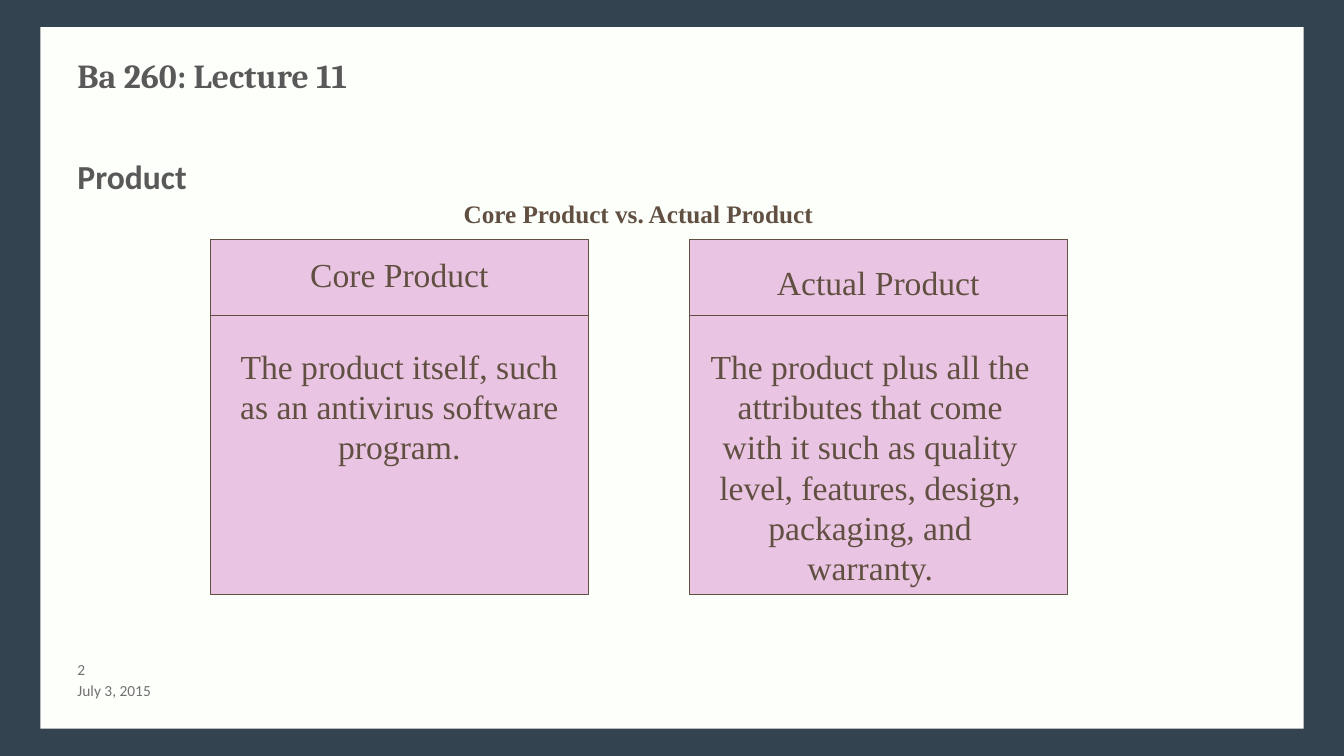
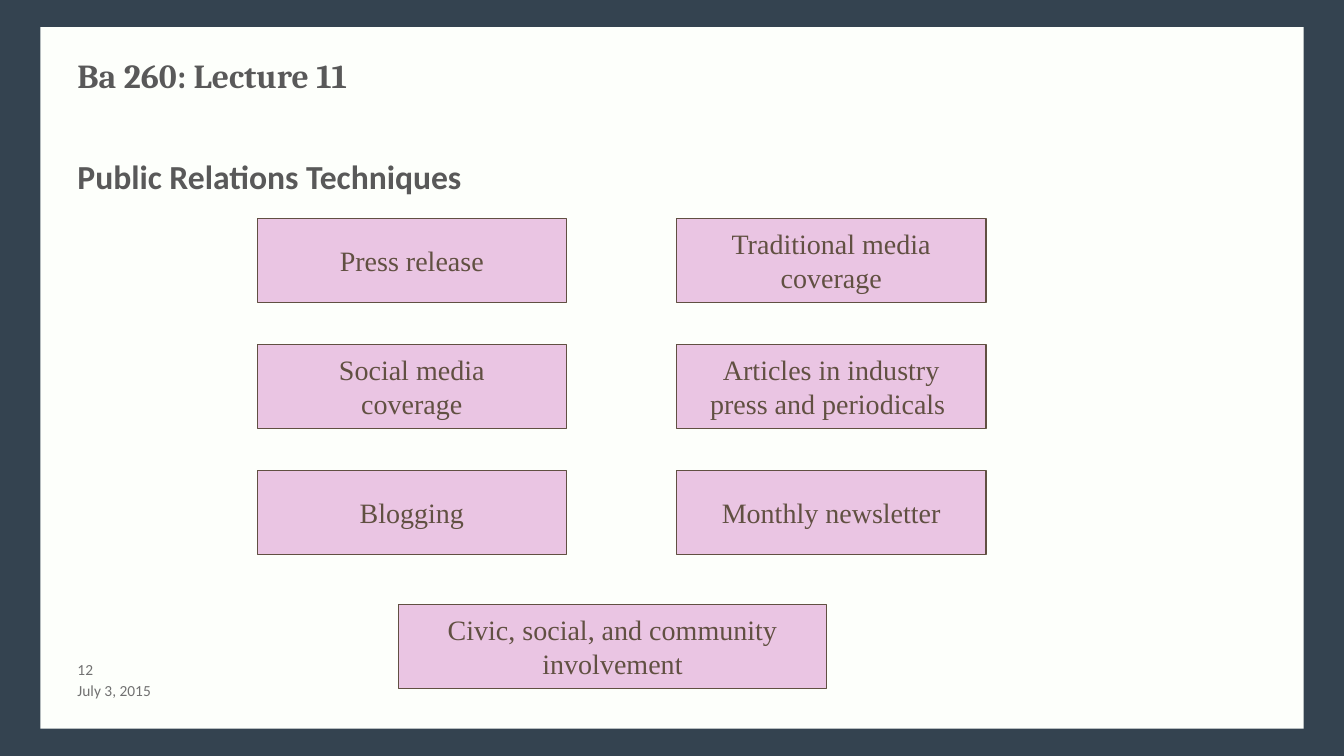
from pptx import Presentation
from pptx.dml.color import RGBColor
from pptx.enum.shapes import MSO_CONNECTOR, MSO_SHAPE
from pptx.enum.text import MSO_ANCHOR, PP_ALIGN
from pptx.util import Inches, Pt
from lxml import etree

RECT, STRAIGHT = MSO_SHAPE.RECTANGLE, MSO_CONNECTOR.STRAIGHT
TOP, MIDDLE = MSO_ANCHOR.TOP, MSO_ANCHOR.MIDDLE
LEFT, CENTER = PP_ALIGN.LEFT, PP_ALIGN.CENTER

NAVY = RGBColor(0x34, 0x43, 0x50)
IVORY = RGBColor(0xFD, 0xFF, 0xFB)
PINK = RGBColor(0xEA, 0xC5, 0xE3)
BROWN = RGBColor(0x61, 0x50, 0x42)
GRAY = RGBColor(0x59, 0x59, 0x59)
LIGHT_GRAY = RGBColor(0x71, 0x71, 0x71)
DRAWING_NS = "http://schemas.openxmlformats.org/drawingml/2006/main"


def font_style(name, size, color, bold=False):
    """Return a dict of font attributes."""
    return {"name": name, "size": Pt(size), "bold": bold, "color": color}


TITLE = font_style("Cambria", 24, GRAY, True)
HEADING = font_style("Calibri", 24, GRAY, True)
FOOTER = font_style("Calibri", 11, LIGHT_GRAY)
CAPTION = font_style("Times New Roman", 18, BROWN, True)
CARD_TEXT = font_style("Times New Roman", 24, BROWN)
TILE_TEXT = font_style("Times New Roman", 20, BROWN)


def write(sp, lines, style, align=LEFT, anchor=TOP, wrap=True, inset=0.05):
    """Fill a shape with one styled paragraph per line."""
    tf = sp.text_frame
    frame = {"word_wrap": wrap, "vertical_anchor": anchor,
             "margin_top": Inches(inset), "margin_bottom": Inches(inset)}
    for key, value in frame.items():
        setattr(tf, key, value)
    for i, line in enumerate(lines):
        p = tf.add_paragraph() if i else tf.paragraphs[0]
        p.alignment = align
        r = p.add_run()
        r.text = line
        for key, value in style.items():
            if key == "color":
                r.font.color.rgb = value
            else:
                setattr(r.font, key, value)


def add_text(s, box, text, style, **options):
    """Add a text box at box, given in inches."""
    sp = s.shapes.add_textbox(*map(Inches, box))
    write(sp, [text], style, **options)


def add_rect(s, box, fill, line=None):
    """Add a flat rectangle with an optional thin outline."""
    sp = s.shapes.add_shape(RECT, *map(Inches, box))
    sp.shadow.inherit = False
    sp.fill.solid()
    sp.fill.fore_color.rgb = fill
    if line is None:
        sp.line.fill.background()
    else:
        sp.line.color.rgb = line
        sp.line.width = Pt(0.75)
    return sp


def add_rule(s, x, y, width):
    """Add a thin horizontal line."""
    line = s.shapes.add_connector(
        STRAIGHT, Inches(x), Inches(y), Inches(x + width), Inches(y))
    line.line.color.rgb = BROWN
    line.line.width = Pt(0.75)
    etree.SubElement(line._element.spPr, f"{{{DRAWING_NS}}}effectLst")


def add_base(prs, heading, number):
    """Add a slide with the shared frame, title, heading and footer."""
    s = prs.slides.add_slide(prs.slide_layouts[6])
    s.background.fill.solid()
    s.background.fill.fore_color.rgb = NAVY
    add_rect(s, (0.4, 0.27, 12.53, 6.96), IVORY)
    add_text(s, (0.67, 0.5, 12, 0.75), "Ba 260: Lecture 11", TITLE)
    add_text(s, (0.67, 1.5, 5.84, 4.75), heading, HEADING)
    add_text(s, (0.67, 6.55, 0.53, 0.2), str(number), FOOTER, inset=0)
    add_text(s, (0.67, 6.75, 2.67, 0.2), "July 3, 2015", FOOTER,
             anchor=MIDDLE, inset=0)
    return s


def add_card(s, box, name, name_dy, body, body_dx, body_height):
    """Add a card with a name, a rule and a description."""
    x, y, width, height = box
    add_rect(s, box, PINK, BROWN)
    add_rule(s, x, y + 0.75, width)
    add_text(s, (x + 0.08, y + name_dy, 3.58, 0.51), name, CARD_TEXT,
             align=CENTER)
    add_text(s, (x + body_dx, y + 1, 3.42, body_height), body, CARD_TEXT,
             align=CENTER)


def add_product_slide(prs):
    """Build the comparison of core and actual product."""
    s = add_base(prs, "Product", 2)
    add_text(s, (4.5, 1.92, 3.7, 0.4), "Core Product vs. Actual Product",
             CAPTION, wrap=False)
    cards = [
        ("Core Product", 0.09,
         "The product itself, such as an antivirus software program.",
         0.16, 1.31),
        ("Actual Product", 0.17,
         "The product plus all the attributes that come with it such as "
         "quality level, features, design, packaging, and warranty.",
         0.08, 2.52),
    ]
    for i, card in enumerate(cards):
        add_card(s, (2.09 + 4.75 * i, 2.38, 3.75, 3.52), *card)


def add_tile(s, box, lines):
    """Add an outlined tile with centred lines."""
    sp = add_rect(s, box, PINK, BROWN)
    write(sp, lines, TILE_TEXT, align=CENTER, anchor=MIDDLE, wrap=False)


def add_techniques_slide(prs):
    """Build the grid of public relations techniques."""
    s = add_base(prs, "Public Relations Techniques", 12)
    rows = [
        (["Press release"], ["Traditional media", "coverage"]),
        (["Social media", "coverage"],
         ["Articles in industry", "press and periodicals "]),
        (["Blogging"], ["Monthly newsletter"]),
    ]
    for i, row in enumerate(rows):
        for j, lines in enumerate(row):
            add_tile(s, (2.55 + 4.16 * j, 2.17 + 1.25 * i, 3.07, 0.83), lines)
    add_tile(s, (3.95, 6, 4.25, 0.83),
             ["Civic, social, and community", "involvement"])


def main():
    """Build and save the presentation."""
    prs = Presentation()
    prs.slide_width, prs.slide_height = Inches(13.33), Inches(7.5)
    add_product_slide(prs)
    add_techniques_slide(prs)
    prs.save("out.pptx")


if __name__ == "__main__":
    main()
